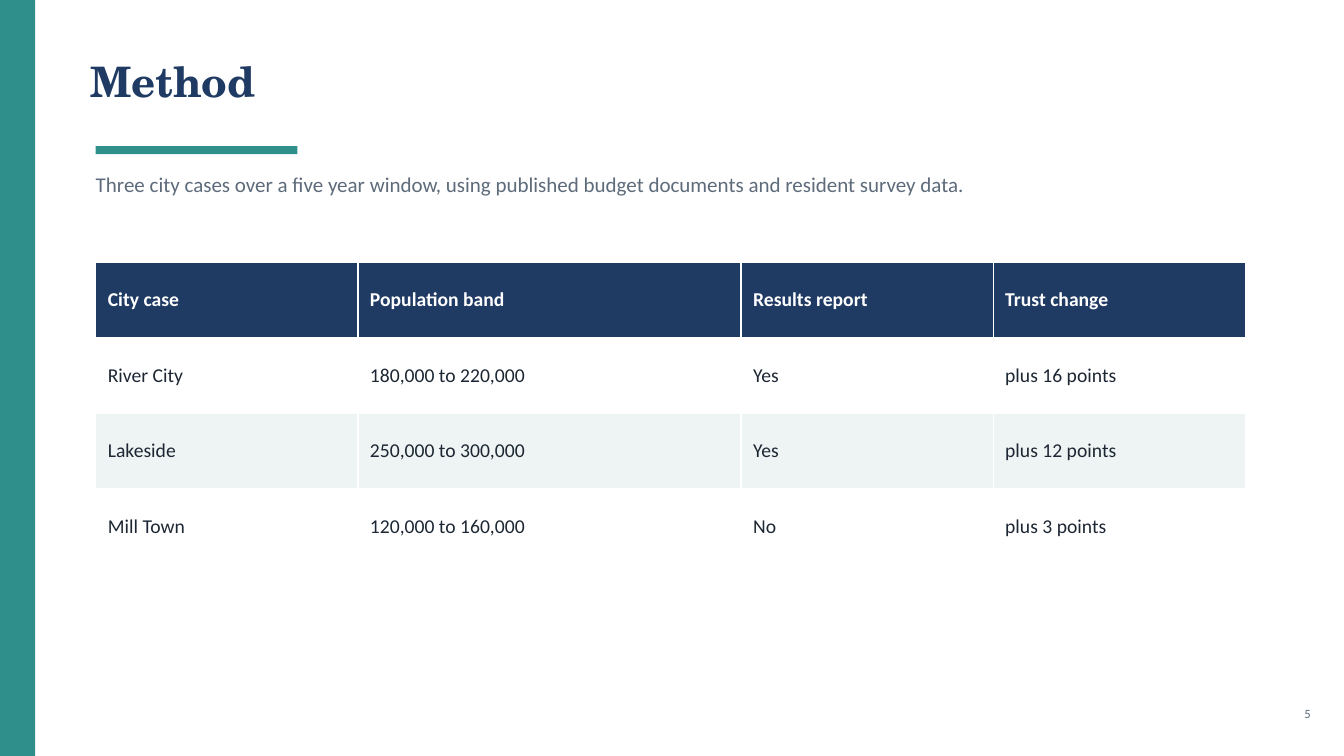
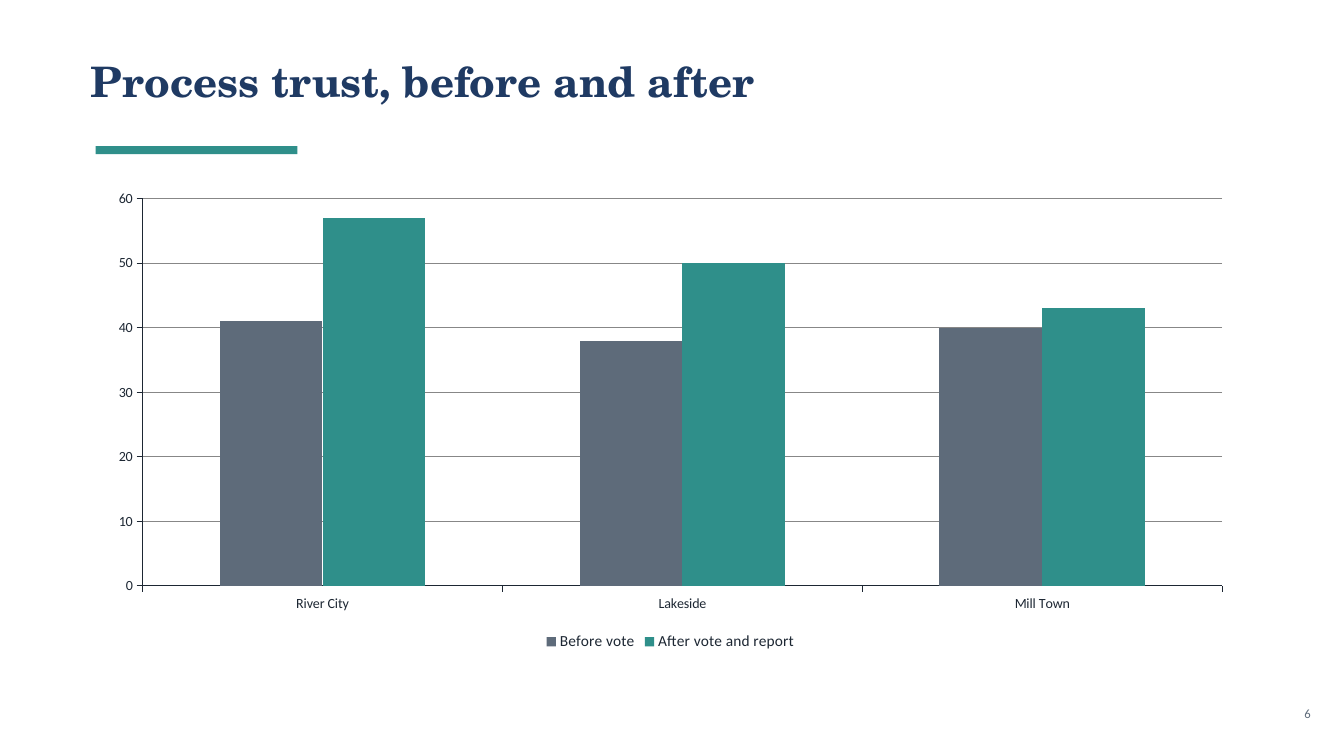
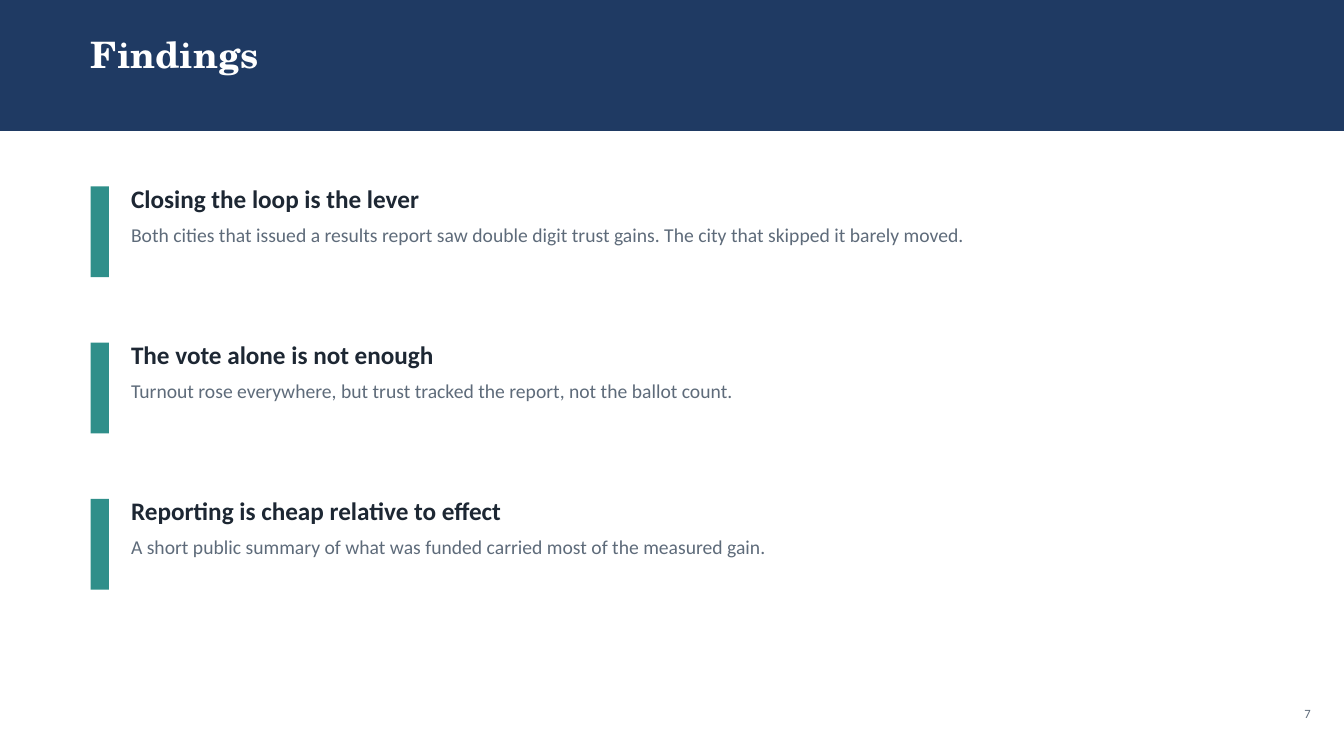
from pptx import Presentation
from pptx.chart.data import CategoryChartData
from pptx.dml.color import RGBColor
from pptx.enum.chart import XL_CHART_TYPE, XL_LEGEND_POSITION, XL_TICK_MARK
from pptx.enum.shapes import MSO_SHAPE
from pptx.enum.text import MSO_ANCHOR, MSO_AUTO_SIZE, PP_ALIGN
from pptx.util import Emu, Pt

EMU_PER_PX = 9144  # 100 px to the inch
SLIDE_W, SLIDE_H = 1333, 750
LEFT, CONTENT_W = 95, 1140
COLORS = {
    "navy": "1F3A63",
    "teal": "2F8F8A",
    "slate": "5E6B7A",
    "ink": "1D2733",
    "mist": "EEF4F3",
    "white": "FFFFFF",
}
HEADING_FONT, BODY_FONT = "TeX Gyre Schola", "Calibri"


def px(*lengths):
    return [Emu(length * EMU_PER_PX) for length in lengths]


def rgb(name):
    return RGBColor.from_string(COLORS[name])


def style_font(font, size, color, bold=False, name=BODY_FONT):
    font.size, font.bold, font.name = Pt(size), bold, name
    font.color.rgb = rgb(color)


def add_text(frame, text, size=14, color="ink", bold=False, font=BODY_FONT,
             align=None, after=6, spacing=None):
    """Fill the first paragraph of the frame, or append one after it."""
    paragraph = frame.paragraphs[0]
    if paragraph.runs:
        paragraph = frame.add_paragraph()
    run = paragraph.add_run()
    run.text = text
    style_font(run.font, size, color, bold, font)
    paragraph.alignment = align
    paragraph.space_after = Pt(after)
    paragraph.line_spacing = spacing


class Deck:
    def __init__(self):
        self.presentation = Presentation()
        self.presentation.slide_width, self.presentation.slide_height = px(SLIDE_W, SLIDE_H)
        self.slide = None

    def start_slide(self):
        self.slide = self.presentation.slides.add_slide(self.presentation.slide_layouts[6])
        self.slide.background.fill.solid()
        self.slide.background.fill.fore_color.rgb = rgb("white")

    def bar(self, x, y, w, h, color="teal"):
        bar = self.slide.shapes.add_shape(MSO_SHAPE.RECTANGLE, *px(x, y, w, h))
        bar.shadow.inherit = False
        bar.fill.solid()
        bar.fill.fore_color.rgb = rgb(color)
        bar.line.fill.background()

    def text_frame(self, x, y, w, h):
        frame = self.slide.shapes.add_textbox(*px(x, y, w, h)).text_frame
        frame.word_wrap = True
        frame.auto_size = MSO_AUTO_SIZE.SHAPE_TO_FIT_TEXT
        frame.margin_left = frame.margin_top = frame.margin_right = frame.margin_bottom = 0
        return frame

    def title(self, text):
        add_text(self.text_frame(90, 55, 1150, 100), text, size=30, color="navy",
                 bold=True, font=HEADING_FONT)
        self.bar(LEFT, 145, 200, 8)

    def band_title(self, text):
        self.bar(0, 0, SLIDE_W, 130, color="navy")
        add_text(self.text_frame(90, 32, 1150, 80), text, size=26, color="white",
                 bold=True, font=HEADING_FONT)

    def page_number(self, number):
        add_text(self.text_frame(1240, 700, 60, 40), str(number), size=9,
                 color="slate", align=PP_ALIGN.RIGHT)

    def table(self, y, column_widths, row_height, rows):
        table = self.slide.shapes.add_table(
            len(rows), len(column_widths),
            *px(LEFT, y, sum(column_widths), row_height * len(rows))).table
        table.horz_banding = False
        for column, width in zip(table.columns, column_widths):
            column.width = px(width)[0]
        for r, values in enumerate(rows):
            header = r == 0
            fill = "navy" if header else "white" if r % 2 else "mist"
            for c, value in enumerate(values):
                cell = table.cell(r, c)
                cell.fill.solid()
                cell.fill.fore_color.rgb = rgb(fill)
                cell.vertical_anchor = MSO_ANCHOR.MIDDLE
                (cell.margin_left, cell.margin_top,
                 cell.margin_right, cell.margin_bottom) = px(12, 4, 8, 4)
                add_text(cell.text_frame, value, color="white" if header else "ink",
                         bold=header, after=0)

    def column_chart(self, y, h, categories, series):
        data = CategoryChartData()
        data.categories = categories
        for name, values, _ in series:
            data.add_series(name, values)
        chart = self.slide.shapes.add_chart(
            XL_CHART_TYPE.COLUMN_CLUSTERED, *px(LEFT, y, CONTENT_W, h), data).chart
        chart.has_title = False
        chart.font.name = BODY_FONT

        # Columns
        plot = chart.plots[0]
        plot.vary_by_categories = False
        plot.gap_width, plot.overlap = 150, 0
        for columns, (_, _, color) in zip(plot.series, series):
            columns.format.fill.solid()
            columns.format.fill.fore_color.rgb = rgb(color)

        # Axes and legend
        for axis in (chart.category_axis, chart.value_axis):
            style_font(axis.tick_labels.font, 10, "ink")
            axis.major_tick_mark = XL_TICK_MARK.OUTSIDE
            axis.format.line.color.rgb = rgb("ink")
            axis.format.line.width = Pt(0.75)
        chart.value_axis.has_major_gridlines = True
        chart.has_legend = True
        chart.legend.position = XL_LEGEND_POSITION.BOTTOM
        chart.legend.include_in_layout = False
        style_font(chart.legend.font, 11, "ink")

    def finding(self, y, heading, detail):
        self.bar(90, y + 5, 18, 90)
        frame = self.text_frame(130, y, 1100, 100)
        add_text(frame, heading, size=18, bold=True, spacing=1.05)
        add_text(frame, detail, color="slate", spacing=1.05)


def main():
    deck = Deck()

    # Method
    deck.start_slide()
    deck.bar(0, 0, 35, SLIDE_H)
    deck.title("Method")
    add_text(deck.text_frame(LEFT, 170, CONTENT_W, 70),
             "Three city cases over a five year window, using published budget "
             "documents and resident survey data.", size=15, color="slate")
    deck.table(260, [260, 380, 250, 250], 75, [
        ("City case", "Population band", "Results report", "Trust change"),
        ("River City", "180,000 to 220,000", "Yes", "plus 16 points"),
        ("Lakeside", "250,000 to 300,000", "Yes", "plus 12 points"),
        ("Mill Town", "120,000 to 160,000", "No", "plus 3 points"),
    ])
    deck.page_number(5)

    # Process trust
    deck.start_slide()
    deck.title("Process trust, before and after")
    deck.column_chart(180, 470, ["River City", "Lakeside", "Mill Town"], [
        ("Before vote", (41, 38, 40), "slate"),
        ("After vote and report", (57, 50, 43), "teal"),
    ])
    deck.page_number(6)

    # Findings
    deck.start_slide()
    deck.band_title("Findings")
    findings = [
        ("Closing the loop is the lever",
         "Both cities that issued a results report saw double digit trust gains. "
         "The city that skipped it barely moved."),
        ("The vote alone is not enough",
         "Turnout rose everywhere, but trust tracked the report, not the ballot count."),
        ("Reporting is cheap relative to effect",
         "A short public summary of what was funded carried most of the measured gain."),
    ]
    for i, (heading, detail) in enumerate(findings):
        deck.finding(180 + 155 * i, heading, detail)
    deck.page_number(7)

    deck.presentation.save("out.pptx")


if __name__ == "__main__":
    main()
